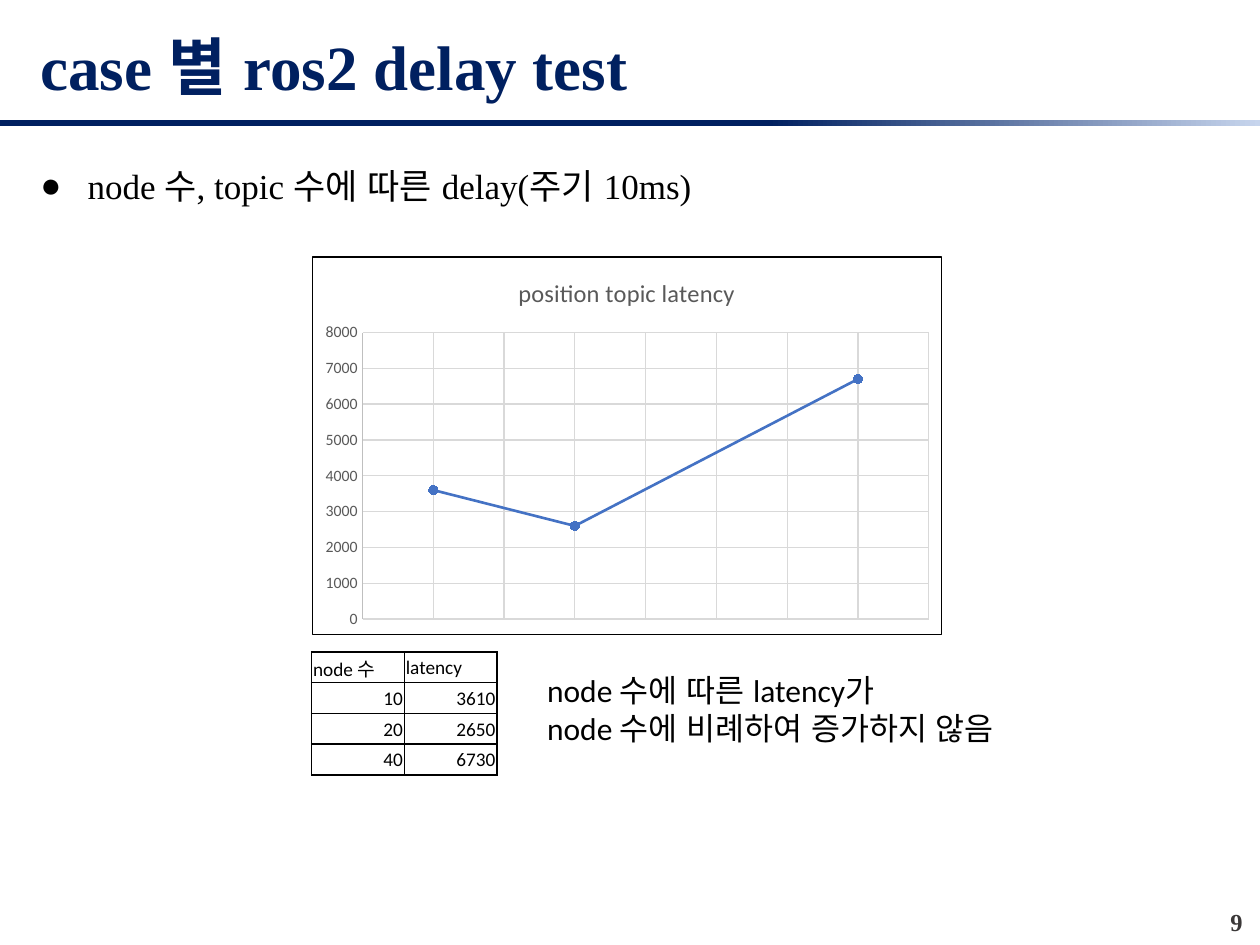
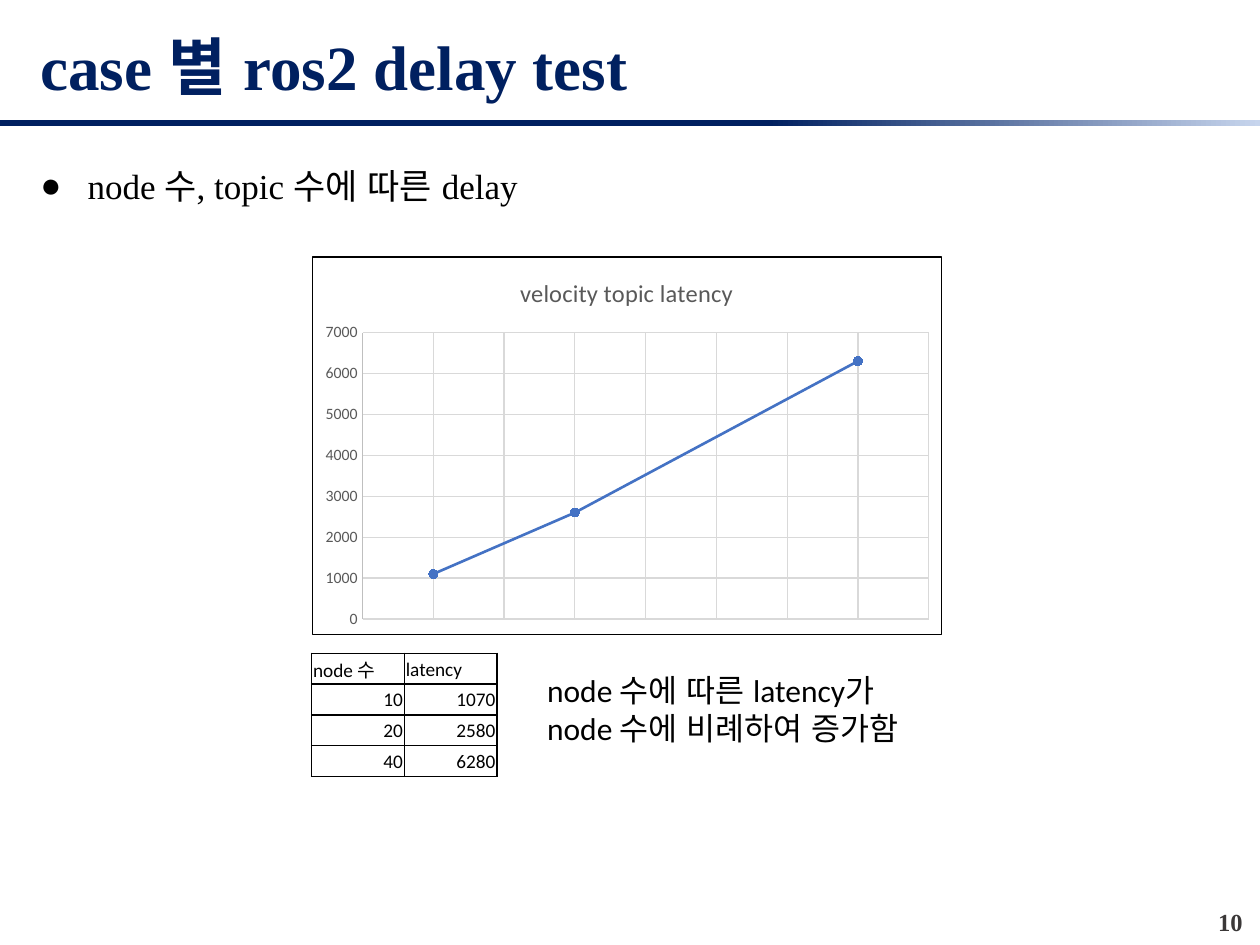
from dataclasses import dataclass

from lxml.etree import SubElement
from pptx import Presentation
from pptx.chart.data import XyChartData
from pptx.dml.color import RGBColor
from pptx.enum.chart import XL_CHART_TYPE, XL_MARKER_STYLE, XL_TICK_MARK
from pptx.enum.lang import MSO_LANGUAGE_ID
from pptx.enum.shapes import MSO_SHAPE
from pptx.enum.text import MSO_ANCHOR, MSO_AUTO_SIZE, PP_ALIGN
from pptx.oxml import parse_xml
from pptx.oxml.ns import nsdecls, qn
from pptx.util import Cm, Pt

NAVY, PALE, BLACK, WHITE = "002060", "C7D5ED", "000000", "FFFFFF"
GREY, GRID, AXIS, DARK, BLUE = "595959", "D9D9D9", "BFBFBF", "3B3838", "4472C4"
SERIF, SANS = "Times New Roman", "Calibri"
TITLE = "case 별 ros2 delay test"
HEADS = ("node 수", "latency")
NODES = (10, 20, 40)
LEFT, WIDTH = 0.56, 24.13
FRAME = 6.28


@dataclass
class Page:
    number: int
    point: str
    depth: float
    topic: str
    delays: tuple[int, ...]
    top: int
    table: float
    result: str


PAGES = (
    Page(9, "node 수, topic 수에 따른 delay(주기 10ms)", 1.37, "position topic latency",
         (3610, 2650, 6730), 8000, 13.14, "node 수에 비례하여 증가하지 않음"),
    Page(10, "node 수, topic 수에 따른 delay", 12.93, "velocity topic latency",
         (1070, 2580, 6280), 7000, 13.17, "node 수에 비례하여 증가함"),
)


def paint(code: str) -> RGBColor:
    return RGBColor.from_string(code)


def place(shape, left: float, top: float, width: float, height: float) -> None:
    shape.left, shape.top = Cm(left), Cm(top)
    shape.width, shape.height = Cm(width), Cm(height)


def style(font, size: float, face: str, code: str = BLACK, bold: bool = False) -> None:
    font.size, font.name, font.bold = Pt(size), face, bold
    font.language_id = MSO_LANGUAGE_ID.KOREAN
    font.color.rgb = paint(code)


def stroke(line, code: str, width: float = 0.75) -> None:
    line.color.rgb = paint(code)
    line.width = Pt(width)


def add_text(slide, box: tuple[float, ...], lines: tuple[str, ...]):
    """Add a wrapping text box and return its paragraphs."""
    frame = slide.shapes.add_textbox(*map(Cm, box)).text_frame
    frame.word_wrap = True
    frame.text = "\n".join(lines)
    return frame.paragraphs


def add_head(slide) -> None:
    title = slide.shapes.title
    place(title, LEFT, 0.3, WIDTH, 2.03)
    frame = title.text_frame
    frame.text = TITLE
    frame.auto_size = MSO_AUTO_SIZE.NONE
    frame.vertical_anchor = MSO_ANCHOR.MIDDLE
    para = frame.paragraphs[0]
    para.alignment = PP_ALIGN.LEFT
    style(para.font, 36, SERIF, NAVY, True)

    band = slide.shapes.add_shape(MSO_SHAPE.RECTANGLE, 0, Cm(2.41), Cm(25.4), Cm(0.13))
    band.shadow.inherit = False
    band.line.fill.background()
    band.fill.gradient()
    band.fill.gradient_angle = 0
    for stop, (spot, code) in zip(band.fill.gradient_stops, ((0.61, NAVY), (1, PALE))):
        stop.position = spot
        stop.color.rgb = paint(code)


def add_point(slide, page: Page) -> None:
    body = slide.placeholders[1]
    place(body, LEFT, 2.77, WIDTH, page.depth)
    frame = body.text_frame
    frame.text = page.point
    frame.auto_size = MSO_AUTO_SIZE.NONE
    frame.vertical_anchor = MSO_ANCHOR.TOP
    para = frame.paragraphs[0]
    props = para._p.get_or_add_pPr()
    props.set("marL", str(Cm(0.95)))
    props.set("indent", str(-Cm(0.95)))
    SubElement(props, qn("a:buChar")).set("char", "●")
    para.line_spacing = 1.5
    para.space_before = Pt(0)
    style(para.font, 20, SERIF)


def add_plot(slide, page: Page) -> None:
    data = XyChartData()
    series = data.add_series("Series 1")
    for node, delay in zip(NODES, page.delays):
        series.add_data_point(node, round(delay, -2))
    chart = slide.shapes.add_chart(XL_CHART_TYPE.XY_SCATTER_LINES, Cm(FRAME), Cm(5.17),
                                   Cm(12.71), Cm(7.63), data).chart
    style(chart.font, 10, SANS)
    chart.has_legend = False
    chart.has_title = True
    title = chart.chart_title.text_frame
    title.text = page.topic
    style(title.paragraphs[0].font, 14, SANS, GREY)
    chart.plots[0].vary_by_categories = False

    line = chart.plots[0].series[0]
    stroke(line.format.line, BLUE, 1.5)
    line.marker.style, line.marker.size = XL_MARKER_STYLE.CIRCLE, 5
    line.marker.format.fill.solid()
    line.marker.format.fill.fore_color.rgb = paint(BLUE)
    stroke(line.marker.format.line, BLUE)

    across, up = chart.category_axis, chart.value_axis
    for axis, low, high, step in ((across, 5, 45, 5), (up, 0, page.top, 1000)):
        axis.minimum_scale, axis.maximum_scale, axis.major_unit = low, high, step
        axis.has_major_gridlines = True
        stroke(axis.major_gridlines.format.line, GRID)
    across.visible = False
    up.major_tick_mark = up.minor_tick_mark = XL_TICK_MARK.NONE
    style(up.tick_labels.font, 9, SANS, GREY)
    stroke(up.format.line, AXIS)
    fit_plot(chart)


def fit_plot(chart) -> None:
    """Fix the inner plot area and frame the whole chart."""
    root = chart.element.find(qn("c:chart"))
    area = root.find(qn("c:plotArea"))
    for old in area.findall(qn("c:layout")):
        area.remove(old)
    spots = "".join(f'<c:{key} val="{value}"/>' for key, value in (
        ("layoutTarget", "inner"), ("xMode", "edge"), ("yMode", "edge"),
        ("x", 0.08), ("y", 0.2), ("w", 0.9), ("h", 0.76)))
    area.insert(0, parse_xml(
        f'<c:layout {nsdecls("c")}><c:manualLayout>{spots}</c:manualLayout></c:layout>'))
    root.addnext(parse_xml(
        f'<c:spPr {nsdecls("c", "a")}>{solid(WHITE)}'
        f'<a:ln w="{Pt(0.75)}">{solid(BLACK)}</a:ln></c:spPr>'))


def solid(code: str) -> str:
    return f'<a:solidFill><a:srgbClr val="{code}"/></a:solidFill>'


def fill_cell(cell, text: str, side: PP_ALIGN) -> None:
    cell.text = text
    cell.vertical_anchor = MSO_ANCHOR.MIDDLE
    cell.margin_left = cell.margin_right = cell.margin_top = Cm(0.03)
    cell.margin_bottom = 0
    props = cell._tc.get_or_add_tcPr()
    for edge in "LRTB":
        props.append(parse_xml(
            f'<a:ln{edge} {nsdecls("a")} w="{Pt(1)}">{solid(BLACK)}</a:ln{edge}>'))
    cell.fill.solid()
    cell.fill.fore_color.rgb = paint(WHITE)
    para = cell.text_frame.paragraphs[0]
    para.alignment = side
    style(para.font, 11, SANS)


def add_grid(slide, page: Page) -> None:
    rows = (HEADS, *zip(NODES, page.delays))
    table = slide.shapes.add_table(len(rows), len(HEADS), Cm(FRAME), Cm(page.table),
                                   Cm(3.74), Cm(0.62 * len(rows))).table
    table.first_row = table.horz_banding = False
    for r, row in enumerate(rows):
        for c, value in enumerate(row):
            side = PP_ALIGN.RIGHT if r else PP_ALIGN.LEFT
            fill_cell(table.cell(r, c), str(value), side)


def add_page(deck, page: Page) -> None:
    slide = deck.slides.add_slide(deck.slide_layouts[1])
    add_head(slide)
    add_point(slide, page)
    add_plot(slide, page)
    add_grid(slide, page)
    for para in add_text(slide, (10.78, 13.41, 12.12, 1.8),
                         ("node 수에 따른 latency가", page.result)):
        style(para.font, 18, SANS)
    foot = add_text(slide, (24.23, 18.16, 1.07, 0.76), (str(page.number),))[0]
    foot.alignment = PP_ALIGN.RIGHT
    style(foot.font, 14, SERIF, DARK, True)


def main() -> None:
    deck = Presentation()
    deck.slide_width, deck.slide_height = Cm(25.4), Cm(19.05)
    for page in PAGES:
        add_page(deck, page)
    deck.save("out.pptx")


if __name__ == "__main__":
    main()
